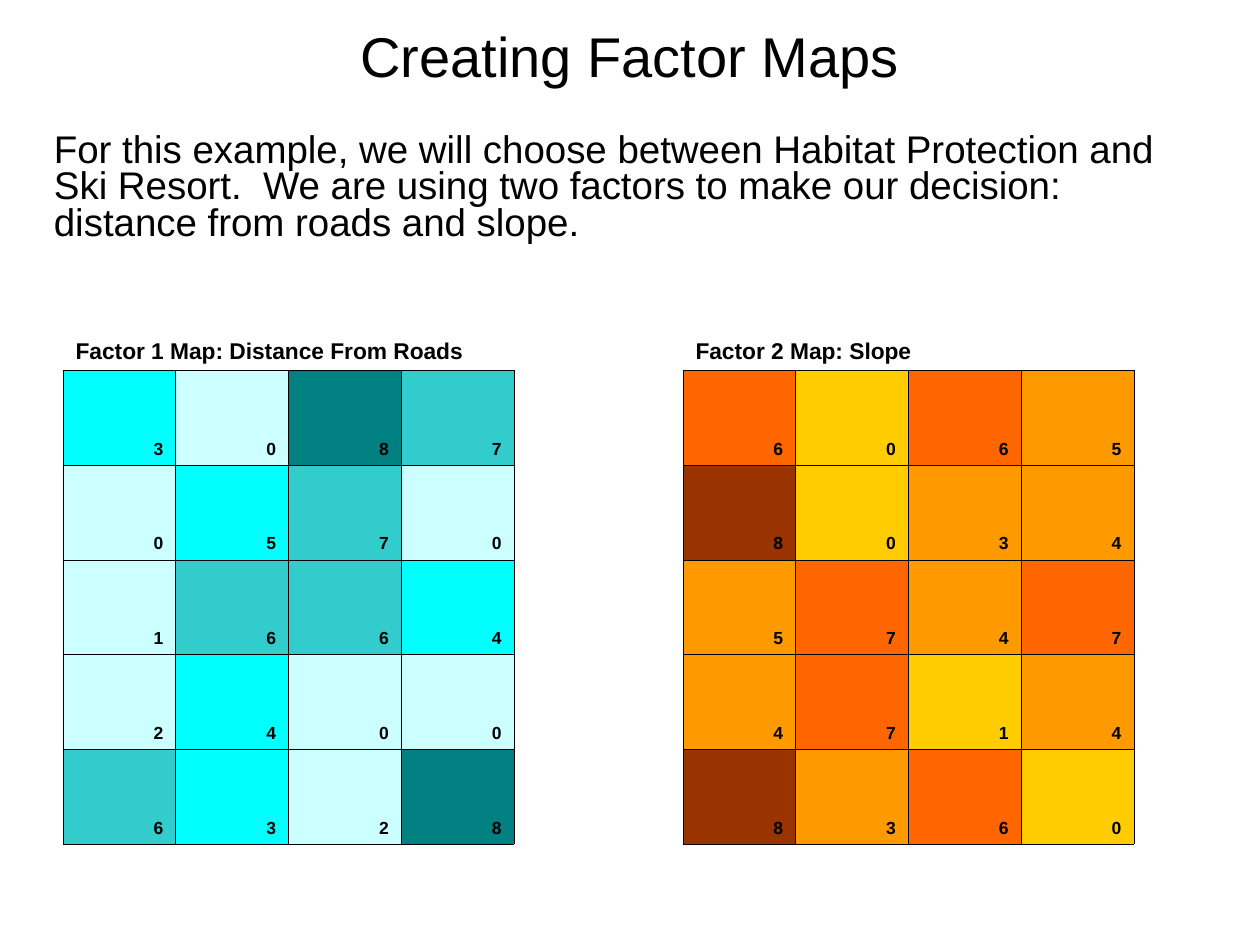
from dataclasses import dataclass

from lxml.etree import SubElement
from pptx import Presentation
from pptx.dml.color import RGBColor
from pptx.enum.text import MSO_ANCHOR as Anchor, PP_ALIGN as Align
from pptx.oxml.ns import qn
from pptx.util import Inches, Pt


@dataclass(frozen=True)
class Theme:
    font: str = "Arial"
    ink: str = "000000"
    title_size: int = 32
    intro_size: int = 22
    caption_size: int = 13
    value_size: int = 10
    border_width: float = 0.45
    teals: tuple = ("CCFFFF", "00FFFF", "33CCCC", "008080")
    oranges: tuple = ("FFCC00", "FF9900", "FF6600", "993300")


THEME = Theme()
BAND_STARTS = (3, 6, 8)
CAPTION_HEIGHT = 1.02

ROAD_DISTANCES = (
    (3, 0, 8, 7),
    (0, 5, 7, 0),
    (1, 6, 6, 4),
    (2, 4, 0, 0),
    (6, 3, 2, 8),
)
SLOPES = (
    (6, 0, 6, 5),
    (8, 0, 3, 4),
    (5, 7, 4, 7),
    (4, 7, 1, 4),
    (8, 3, 6, 0),
)


def write(frame, text, size, bold=False, align=Align.LEFT, spacing=None):
    para = frame.paragraphs[0]
    para.alignment = align
    para.line_spacing = spacing
    span = para.add_run()
    span.text = text
    span.font.name = THEME.font
    span.font.size = Pt(size)
    span.font.bold = bold
    span.font.color.rgb = RGBColor.from_string(THEME.ink)


def add_borders(cell, sides):
    properties = cell._tc.get_or_add_tcPr()
    for side in sides:
        line = SubElement(properties, qn(f"a:ln{side}"), w=str(Pt(THEME.border_width)))
        fill = SubElement(line, qn("a:solidFill"))
        SubElement(fill, qn("a:srgbClr"), val=THEME.ink)


def place_title(page, box, text):
    title = page.shapes.title
    title.left, title.top, title.width, title.height = map(Inches, box)
    title.text_frame.vertical_anchor = Anchor.MIDDLE
    write(title.text_frame, text, THEME.title_size, align=Align.CENTER)


def place_intro(page, box, text):
    frame = page.shapes.add_textbox(*map(Inches, box)).text_frame
    frame.word_wrap = True
    write(frame, text, THEME.intro_size, spacing=0.8)


def place_factor_map(page, box, caption, values, colors, caption_span):
    row_count, column_count = len(values), len(values[0])
    table = page.shapes.add_table(row_count + 1, column_count, *map(Inches, box)).table
    table.first_row = table.horz_banding = False
    table.rows[0].height = Inches(CAPTION_HEIGHT)
    for row in list(table.rows)[1:]:
        row.height = Inches((box[3] - CAPTION_HEIGHT) / row_count)

    for column in range(column_count):
        heading = table.cell(0, column)
        add_borders(heading, "B")
        heading.fill.background()
    table.cell(0, 0).merge(table.cell(0, caption_span - 1))
    table.cell(0, 0).vertical_anchor = Anchor.BOTTOM
    write(table.cell(0, 0).text_frame, caption, THEME.caption_size, bold=True)

    for row, row_values in enumerate(values, start=1):
        for column, value in enumerate(row_values):
            cell = table.cell(row, column)
            add_borders(cell, "LRTB")
            band = sum(value >= start for start in BAND_STARTS)
            cell.fill.solid()
            cell.fill.fore_color.rgb = RGBColor.from_string(colors[band])
            cell.vertical_anchor = Anchor.BOTTOM
            write(cell.text_frame, str(value), THEME.value_size, bold=True, align=Align.RIGHT)


def main():
    deck = Presentation()
    deck.slide_width, deck.slide_height = Inches(10), Inches(7.5)
    page = deck.slides.add_slide(deck.slide_layouts[5])
    place_intro(
        page,
        (0.33, 1.01, 9, 1.42),
        "For this example, we will choose between Habitat Protection and Ski Resort.  "
        "We are using two factors to make our decision: distance from roads and slope.",
    )
    place_factor_map(
        page, (0.5, 1.92, 3.58, 4.78), "Factor 1 Map: Distance From Roads",
        ROAD_DISTANCES, THEME.teals, caption_span=4,
    )
    place_factor_map(
        page, (5.42, 1.92, 3.58, 4.78), "Factor 2 Map: Slope",
        SLOPES, THEME.oranges, caption_span=3,
    )
    place_title(page, (0.5, -0.19, 9, 1.25), "Creating Factor Maps")
    deck.save("out.pptx")


if __name__ == "__main__":
    main()
